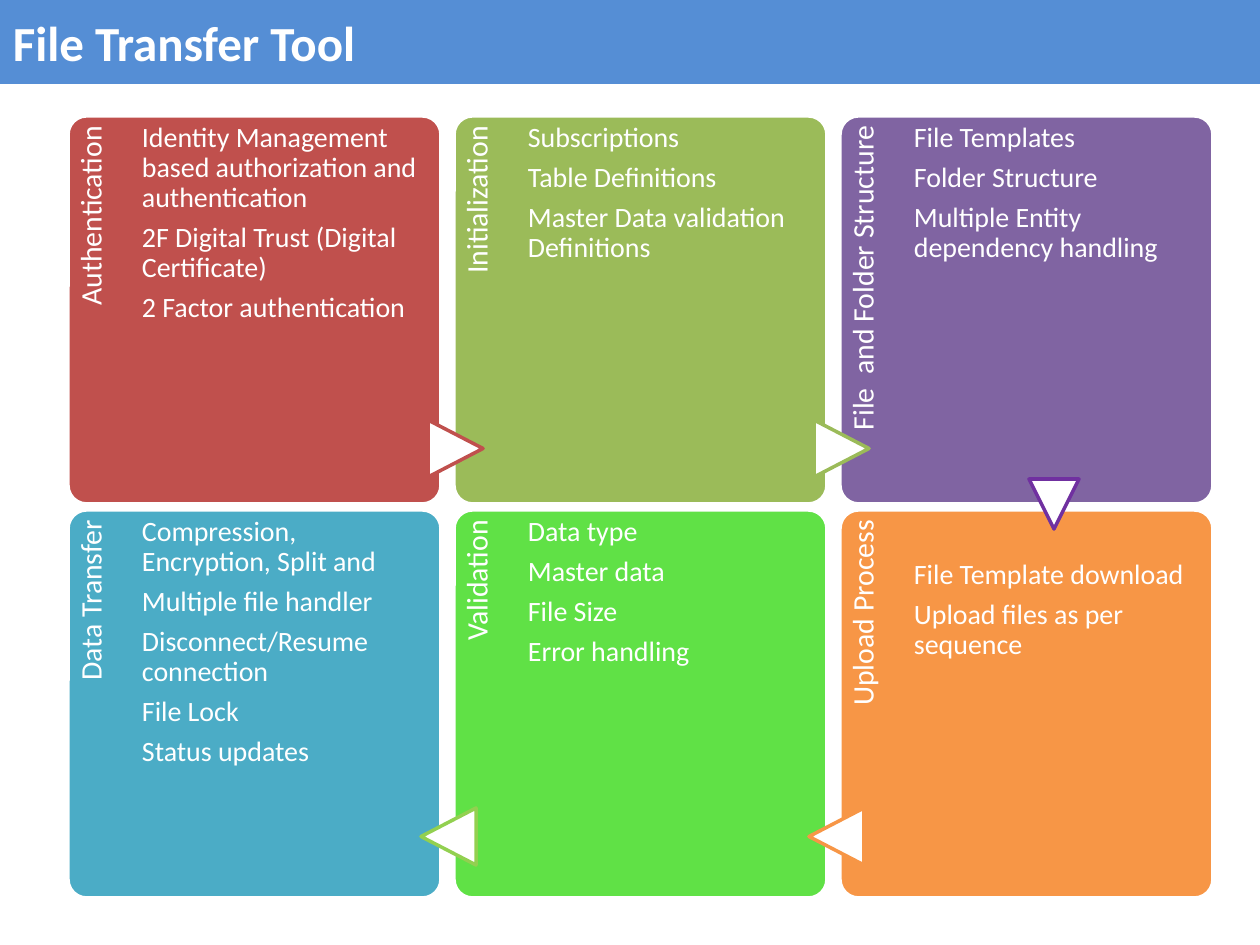
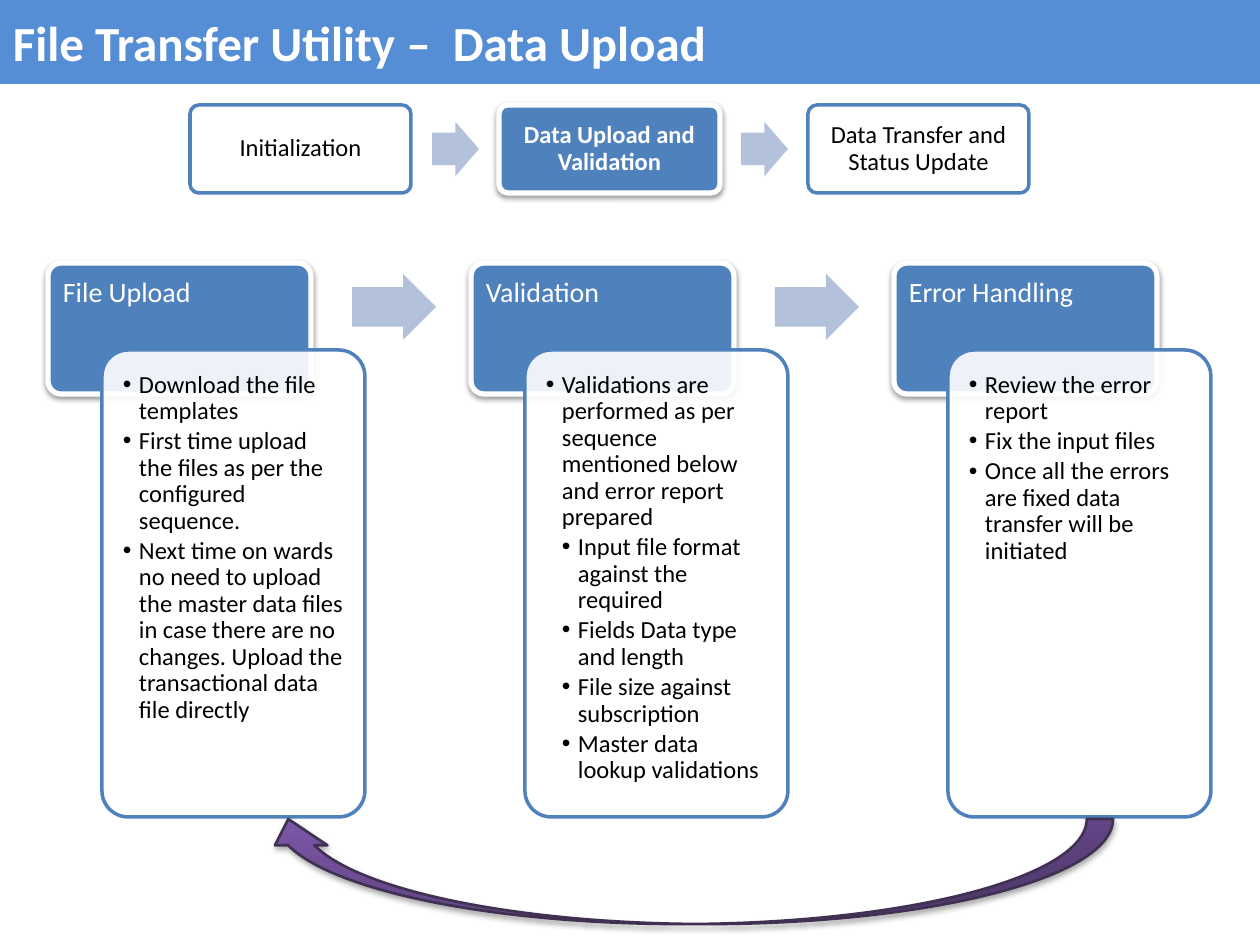
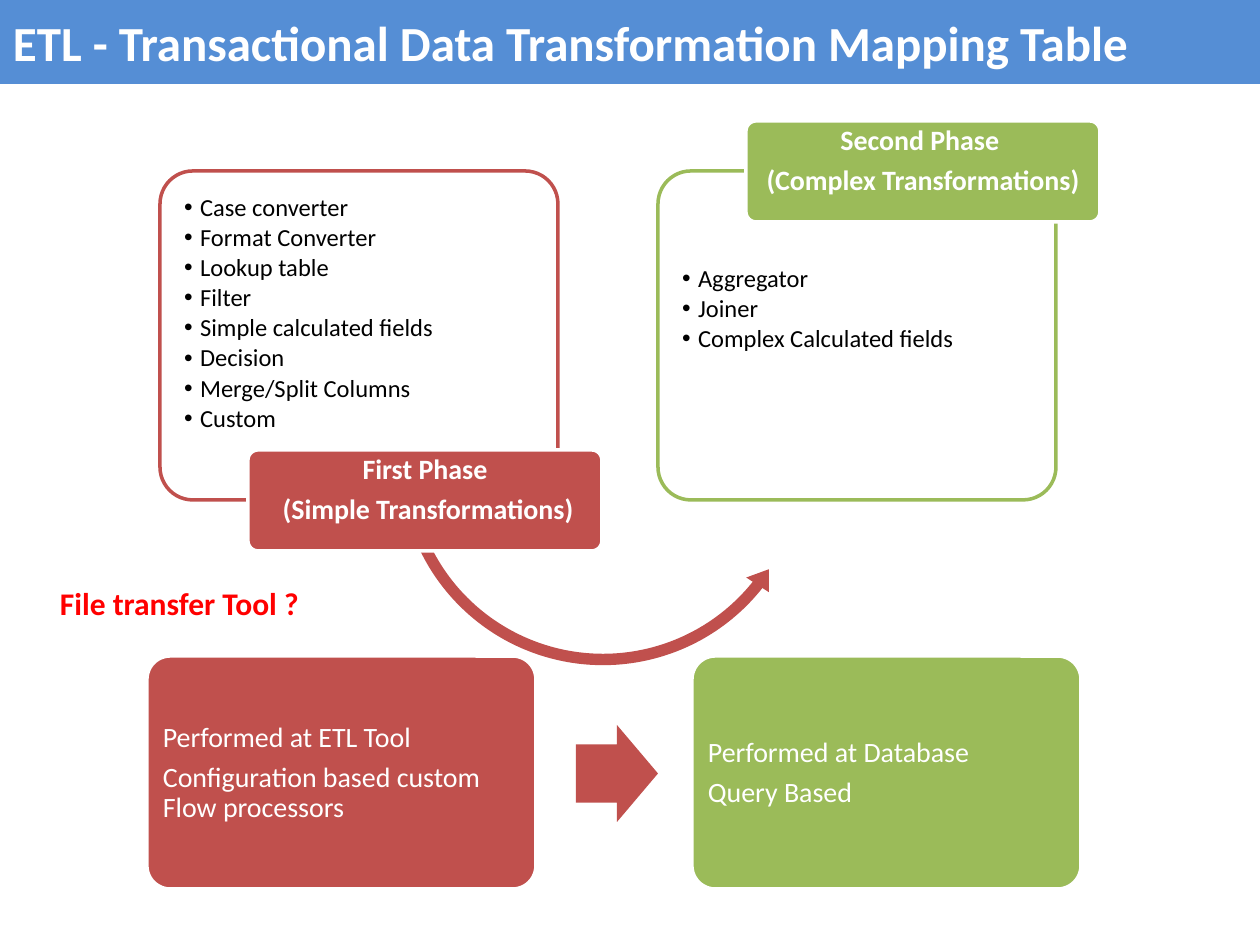
from dataclasses import dataclass
from lxml.etree import SubElement
from pptx import Presentation
from pptx.dml.color import RGBColor as Rgb
from pptx.enum.shapes import MSO_SHAPE as Kind
from pptx.enum.text import MSO_ANCHOR as Anchor, PP_ALIGN as Align
from pptx.oxml.ns import qn
from pptx.util import Emu, Pt


@dataclass(frozen=True)
class Theme:
    font: str = "Calibri"
    white: str = "FFFFFF"
    black: str = "000000"
    band: str = "558ED5"
    blue: str = "4F81BD"
    pale: str = "B3C1DB"
    red: str = "C0504D"
    olive: str = "9BBB59"
    grape: str = "8064A2"
    teal: str = "4BACC6"
    lime: str = "60E146"
    leaf: str = "92D050"
    orange: str = "F79646"
    violet: str = "7030A0"
    plum: str = "5F4480"
    lilac: str = "7C57A8"
    ink: str = "403152"
    alert: str = "FF0000"
    title: int = 28
    note: int = 18
    label: int = 17
    body: int = 16
    small: int = 14


T = Theme()
WIDE, HIGH = 1260, 945


def px(n):
    return Emu(round(n * 914400 / 126))


def shade(shape, alpha):
    effects = shape._element.spPr.find(qn("a:effectLst"))
    cast = SubElement(effects, qn("a:outerShdw"), blurRad="40000",
                      dist="20000", dir="5400000", rotWithShape="0")
    color = SubElement(cast, qn("a:srgbClr"), val=T.black)
    SubElement(color, qn("a:alpha"), val=str(alpha * 1000))


def draw(slide, kind, box, fill, line=None, width=2, adj=(), spin=0,
         alpha=100, shadow=0):
    shape = slide.shapes.add_shape(kind, *map(px, box))
    shape.shadow.inherit = False
    shape.rotation = spin
    for i, value in enumerate(adj):
        shape.adjustments[i] = value
    shape.fill.solid()
    shape.fill.fore_color.rgb = Rgb.from_string(fill)
    if alpha < 100:
        color = shape._element.spPr.find(qn("a:solidFill"))[0]
        SubElement(color, qn("a:alpha"), val=str(alpha * 1000))
    if line:
        shape.line.color.rgb = Rgb.from_string(line)
        shape.line.width = Pt(width)
    else:
        shape.line.fill.background()
    if shadow:
        shade(shape, shadow)
    return shape


def write(slide, lines, box, size=T.body, color=T.white, bold=False,
          align=Align.LEFT, anchor=Anchor.TOP, inset=(13, 6, 13, 6),
          space=0.9, gap=0.35, levels=(), spin=0, wrap=True):
    area = slide.shapes.add_textbox(*map(px, box))
    area.rotation = spin
    frame = area.text_frame
    frame.word_wrap = wrap
    frame.vertical_anchor = anchor
    (frame.margin_left, frame.margin_top,
     frame.margin_right, frame.margin_bottom) = map(px, inset)
    for i, line in enumerate(lines):
        para = frame.paragraphs[0] if i == 0 else frame.add_paragraph()
        para.alignment = align
        para.line_spacing = space
        para.space_after = Pt(round(size * gap, 1))
        run = para.add_run()
        run.text = line
        run.font.name = T.font
        run.font.size = Pt(size)
        run.font.bold = bold
        run.font.color.rgb = Rgb.from_string(color)
        if levels:
            props = para._p.get_or_add_pPr()
            props.set("marL", str(px(16 * levels[i])))
            props.set("indent", str(-px(16)))
            SubElement(props, qn("a:buFont"), typeface="Arial")
            SubElement(props, qn("a:buChar"), char="•")


def points(slide, lines, box, inset, levels=None):
    write(slide, lines, box, size=T.small, color=T.black, inset=(inset,) * 4,
          gap=0.15, levels=levels or [1] * len(lines))


def start(deck, title):
    slide = deck.slides.add_slide(deck.slide_layouts[6])
    band = (0, 0, WIDE, 84)
    draw(slide, Kind.RECTANGLE, band, T.band)
    write(slide, [title], band, size=T.title, bold=True,
          anchor=Anchor.MIDDLE, space=1.0, gap=0)
    return slide


def arrow(slide, box, fill):
    draw(slide, Kind.RIGHT_ARROW, box, fill, adj=(0.6, 0.5))


def card(slide, box, name, lines, fill, drop=0):
    x, y, w, h = box
    strip, tall = 74, 319
    draw(slide, Kind.ROUNDED_RECTANGLE, box, fill, T.white, adj=(0.05,))
    turned = (x + (strip - tall) / 2, y + (tall - strip) / 2, tall, strip)
    write(slide, [name], turned, size=T.label, align=Align.RIGHT,
          inset=(0, 8, 10, 0), spin=270)
    write(slide, lines, (x + strip, y, 277, h), inset=(0, 7 + drop, 0, 0))


def tool(deck):
    slide = start(deck, "File Transfer Tool")
    cards = [
        ("Authentication", T.red, [
            "Identity Management based authorization and authentication",
            "2F Digital Trust (Digital Certificate)",
            "2 Factor authentication"]),
        ("Initialization", T.olive, [
            "Subscriptions", "Table Definitions",
            "Master Data validation Definitions"]),
        ("File  and Folder Structure", T.grape, [
            "File Templates", "Folder Structure",
            "Multiple Entity dependency handling"]),
        ("Data Transfer", T.teal, [
            "Compression, Encryption, Split and", "Multiple file handler",
            "Disconnect/Resume connection", "File Lock", "Status updates"]),
        ("Validation", T.lime, [
            "Data type", "Master data", "File Size", "Error handling"]),
        ("Upload Process", T.orange, [
            "File Template download", "Upload files as per sequence"]),
    ]
    for i, (name, fill, lines) in enumerate(cards):
        row, col = divmod(i, 3)
        box = (68 + 386 * col, 116 + 394 * row, 373, 388)
        card(slide, box, name, lines, fill, drop=43 if i == 5 else 0)
    for x, y, spin, line in [(427, 421, 90, T.red), (813, 421, 90, T.olive),
                             (420, 809, 270, T.leaf), (808, 809, 270, T.orange)]:
        draw(slide, Kind.FLOWCHART_EXTRACT, (x, y, 57, 55), T.white, line,
             spin=spin)
    draw(slide, Kind.ISOSCELES_TRIANGLE, (1029, 479, 50, 50), T.white,
         T.violet, spin=180)


def chip(slide, box, name, live):
    x, y, w, h = box
    look = dict(fill=T.blue, line=T.white, width=3, shadow=38) if live else dict(
        fill=T.white, line=T.blue)
    draw(slide, Kind.ROUNDED_RECTANGLE, box, adj=(0.1,), **look)
    write(slide, [name], (x + 3, y + 3, w - 6, h - 6), size=T.small,
          color=T.white if live else T.black, bold=live, align=Align.CENTER,
          anchor=Anchor.MIDDLE, inset=(8,) * 4)


def step(slide, box, name, lines, levels=None):
    x, y, w, h = box
    draw(slide, Kind.ROUNDED_RECTANGLE, (x, y, w, 131), T.blue, T.white,
         width=3, adj=(0.1,), shadow=38)
    write(slide, [name], (x, y, w, 87), inset=(15, 15, 15, 9))
    x, y, h = x + 54, y + 87, h - 87
    draw(slide, Kind.ROUNDED_RECTANGLE, (x, y, w, h), T.white, T.blue,
         adj=(0.1,), alpha=90)
    points(slide, lines, (x + 7, y + 8, w - 13, h - 16), 14, levels)


def loop(slide, box):
    shape = draw(slide, Kind.CURVED_UP_ARROW, box, T.plum, T.ink, width=1.5,
                 spin=180, shadow=35)
    shape._element.spPr.find(qn("a:xfrm")).set("flipV", "1")
    shape.fill.gradient()
    shape.fill.gradient_angle = 90
    for stop, color in zip(shape.fill.gradient_stops, (T.plum, T.lilac)):
        stop.color.rgb = Rgb.from_string(color)


def upload(deck):
    slide = start(deck, "File Transfer Utility –  Data Upload")
    chips = ["Initialization", "Data Upload and Validation",
             "Data Transfer and Status Update"]
    for i, name in enumerate(chips):
        x = 190 + 309 * i
        chip(slide, (x, 105, 221, 88), name, live=i == 1)
        if i < 2:
            arrow(slide, (x + 242, 122, 47, 54), T.pale)
    steps = [
        ("File Upload", [
            "Download the file templates",
            "First time upload the files as per the configured sequence.",
            "Next time on wards no need to upload the master data files in "
            "case there are no changes. Upload the transactional data file "
            "directly"], None),
        ("Validation", [
            "Validations are performed as per sequence mentioned below and "
            "error report prepared",
            "Input file format against the required",
            "Fields Data type and length",
            "File size against subscription",
            "Master data lookup validations"], [1, 2, 2, 2, 2]),
        ("Error Handling", [
            "Review the error report", "Fix the input files",
            "Once all the errors are fixed data transfer will be initiated"],
         None),
    ]
    for i, (name, lines, levels) in enumerate(steps):
        x = 48 + 423 * i
        step(slide, (x, 263, 263, 554), name, lines, levels)
        if i < 2:
            arrow(slide, (x + 304, 274, 84, 66), T.pale)
    loop(slide, (262, 819, 851, 105))


def phase(slide, box, lines, tag, fill, drop, rise):
    x, y, w, h = box
    draw(slide, Kind.ROUNDED_RECTANGLE, box, T.white, fill, adj=(0.1,),
         alpha=90)
    points(slide, lines, (x + 7, y + drop, w - 14, 243), 17)
    x, y = x + 88, y + rise
    draw(slide, Kind.ROUNDED_RECTANGLE, (x, y, 354, 101), fill, T.white,
         adj=(0.1,))
    write(slide, tag, (x + 3, y + 3, 348, 95), bold=True, align=Align.CENTER,
          inset=(4, 2, 4, 2))


def block(slide, box, lines, fill):
    x, y, w, h = box
    draw(slide, Kind.ROUNDED_RECTANGLE, box, fill, T.white, adj=(0.1,))
    write(slide, lines, (x + 7, y + 8, w - 14, h - 14),
          anchor=Anchor.MIDDLE, inset=(9,) * 4)


def table(deck):
    slide = start(deck, "ETL - Transactional Data Transformation Mapping Table")
    draw(slide, Kind.LEFT_CIRCULAR_ARROW, (392, 251, 422, 422), T.red,
         adj=(0.027, 3.338, 23.086, 92.238, 0.032))
    phase(slide, (160, 171, 398, 329), [
        "Case converter", "Format Converter", "Lookup table", "Filter",
        "Simple calculated fields", "Decision", "Merge/Split Columns",
        "Custom"], ["First Phase", " (Simple Transformations)"],
        T.red, drop=7, rise=279)
    phase(slide, (658, 171, 398, 329), [
        "Aggregator", "Joiner", "Complex Calculated fields"],
        ["Second Phase ", "(Complex Transformations)"],
        T.olive, drop=78, rise=-50)
    block(slide, (147, 656, 389, 233), [
        "Performed at ETL Tool",
        "Configuration based custom Flow processors"], T.red)
    arrow(slide, (576, 725, 82, 97), T.red)
    block(slide, (692, 656, 389, 233), [
        "Performed at Database", "Query Based"], T.olive)
    write(slide, ["File transfer Tool ?"], (47, 578, 281, 50), size=T.note,
          color=T.alert, bold=True, space=1.0, gap=0, wrap=False)


def main():
    deck = Presentation()
    deck.slide_width, deck.slide_height = px(WIDE), px(HIGH)
    for build in (tool, upload, table):
        build(deck)
    deck.save("out.pptx")


if __name__ == "__main__":
    main()
